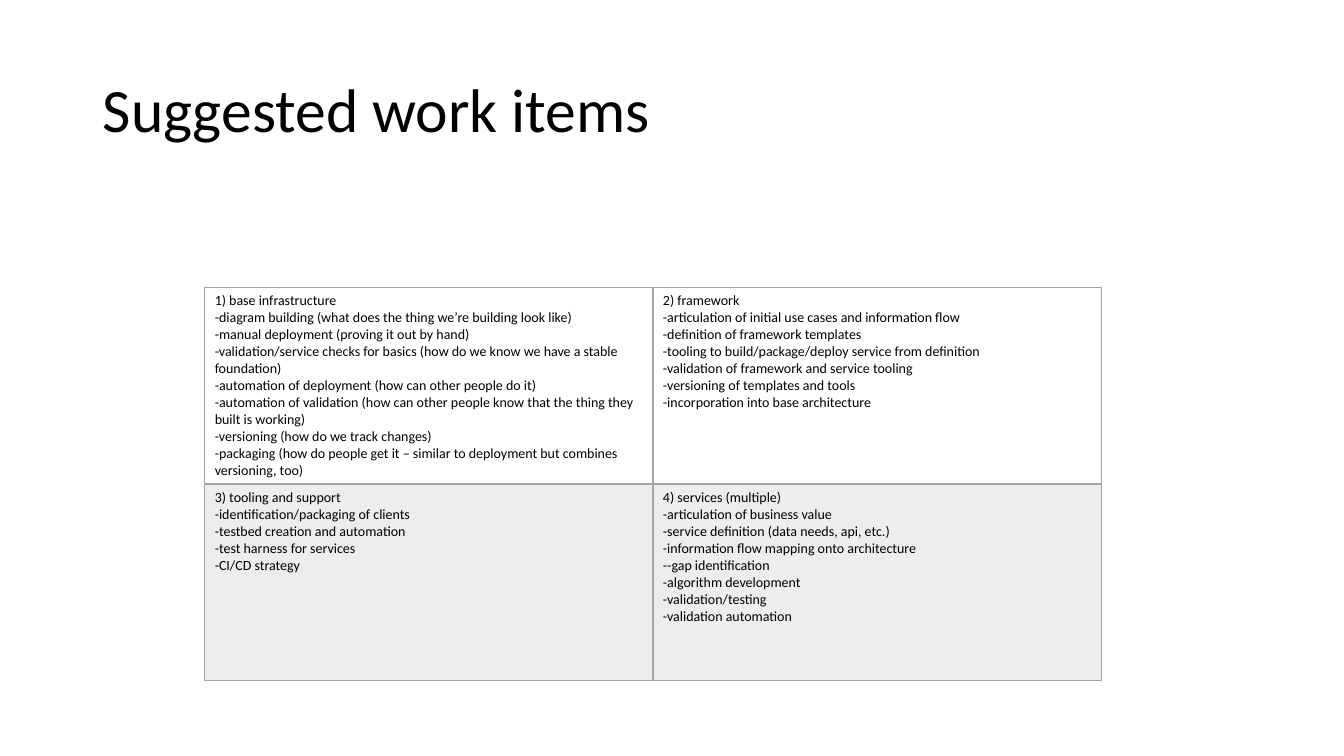
from dataclasses import dataclass

from lxml.etree import SubElement
from pptx import Presentation
from pptx.dml.color import RGBColor
from pptx.enum.text import MSO_ANCHOR, PP_ALIGN
from pptx.oxml.ns import qn
from pptx.util import Inches, Pt


@dataclass(frozen=True)
class Theme:
    """Colours, font and sizes used across the slide."""
    font: str = "Calibri"
    ink: str = "000000"
    border: str = "A5A5A5"
    shade: str = "EDEDED"
    title_size: int = 44
    cell_size: int = 10
    thin: int = 1
    thick: int = 2


WORK_ITEMS = [
    [
        ["1) base infrastructure",
         "-diagram building (what does the thing we’re building look like)",
         "-manual deployment (proving it out by hand)",
         "-validation/service checks for basics (how do we know we have a stable foundation)",
         "-automation of deployment (how can other people do it)",
         "-automation of validation (how can other people know that the thing they built is working)",
         "-versioning (how do we track changes)",
         "-packaging (how do people get it – similar to deployment but combines versioning, too)"],
        ["2) framework\u00a0",
         "-articulation of initial use cases and information flow",
         "-definition of framework templates",
         "-tooling to build/package/deploy service from definition",
         "-validation of framework and service tooling",
         "-versioning of templates and tools",
         "-incorporation into base architecture"],
    ],
    [
        ["3) tooling and support",
         "-identification/packaging of clients",
         "-testbed creation and automation",
         "-test harness for services",
         "-CI/CD strategy"],
        ["4) services (multiple)",
         "-articulation of business value",
         "-service definition (data needs,\u00a0api, etc.)",
         "-information flow mapping onto architecture",
         "--gap identification",
         "-algorithm development",
         "-validation/testing",
         "-validation automation"],
    ],
]


def write_text(frame, lines, *, theme, size, spacing=1.0, anchor=MSO_ANCHOR.TOP):
    """Write one left-aligned paragraph per line in the given format."""
    frame.word_wrap = True
    frame.vertical_anchor = anchor
    for index, line in enumerate(lines):
        para = frame.paragraphs[0] if index == 0 else frame.add_paragraph()
        para.alignment = PP_ALIGN.LEFT
        para.line_spacing = spacing
        span = para.add_run()
        span.text = line
        span.font.name = theme.font
        span.font.size = Pt(size)
        span.font.color.rgb = RGBColor.from_string(theme.ink)


def draw_border(cell, side, color, width):
    """Draw one side (L, R, T or B) of a table cell."""
    properties = cell._tc.get_or_add_tcPr()
    line = SubElement(properties, qn(f"a:ln{side}"), w=str(Pt(width)))
    fill = SubElement(line, qn("a:solidFill"))
    SubElement(fill, qn("a:srgbClr"), val=color)


class SlideBuilder:
    """Holds the theme and the current slide, and places elements by share."""

    def __init__(self, deck, theme):
        """Add a title-only slide to the deck."""
        self.deck = deck
        self.theme = theme
        self.page = deck.slides.add_slide(deck.slide_layouts[5])

    def area(self, left, top, width, height):
        """Turn shares of the slide's size into lengths."""
        across, down = self.deck.slide_width, self.deck.slide_height
        return (int(left * across), int(top * down),
                int(width * across), int(height * down))

    def title(self, text, shares):
        """Place and fill the title placeholder."""
        box = self.page.shapes.title
        box.left, box.top, box.width, box.height = self.area(*shares)
        write_text(box.text_frame, [text], theme=self.theme,
                   size=self.theme.title_size, spacing=0.9, anchor=MSO_ANCHOR.MIDDLE)

    def table(self, rows, shares):
        """Add an evenly divided table with every second row shaded."""
        theme = self.theme
        table = self.page.shapes.add_table(
            len(rows), len(rows[0]), *self.area(*shares)).table
        table.first_row = table.horz_banding = False
        for row_index, row in enumerate(rows):
            top = theme.thick if row_index > 0 else theme.thin
            bottom = theme.thick if row_index < len(rows) - 1 else theme.thin
            widths = {"L": theme.thin, "R": theme.thin, "T": top, "B": bottom}
            for column_index, lines in enumerate(row):
                cell = table.cell(row_index, column_index)
                write_text(cell.text_frame, lines, theme=theme, size=theme.cell_size)
                for side, width in widths.items():
                    draw_border(cell, side, theme.border, width)
                if row_index % 2:
                    cell.fill.solid()
                    cell.fill.fore_color.rgb = RGBColor.from_string(theme.shade)
                else:
                    cell.fill.background()


def main():
    """Build the work items slide and save it."""
    deck = Presentation()
    deck.slide_width, deck.slide_height = Inches(13.33), Inches(7.5)
    slide = SlideBuilder(deck, Theme())
    slide.title("Suggested work items", (0.069, 0.053, 0.863, 0.193))
    slide.table(WORK_ITEMS, (0.1523, 0.38, 0.667, 0.519))
    deck.save("out.pptx")


main()
